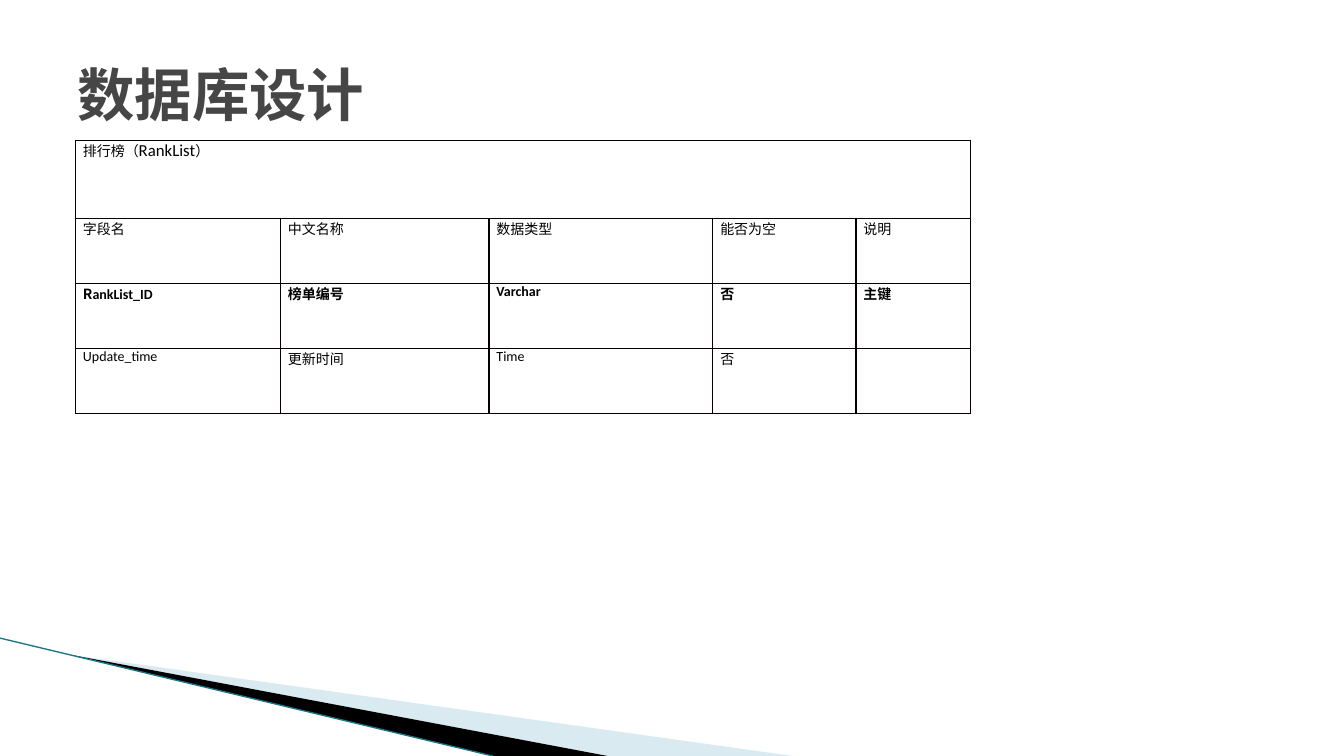
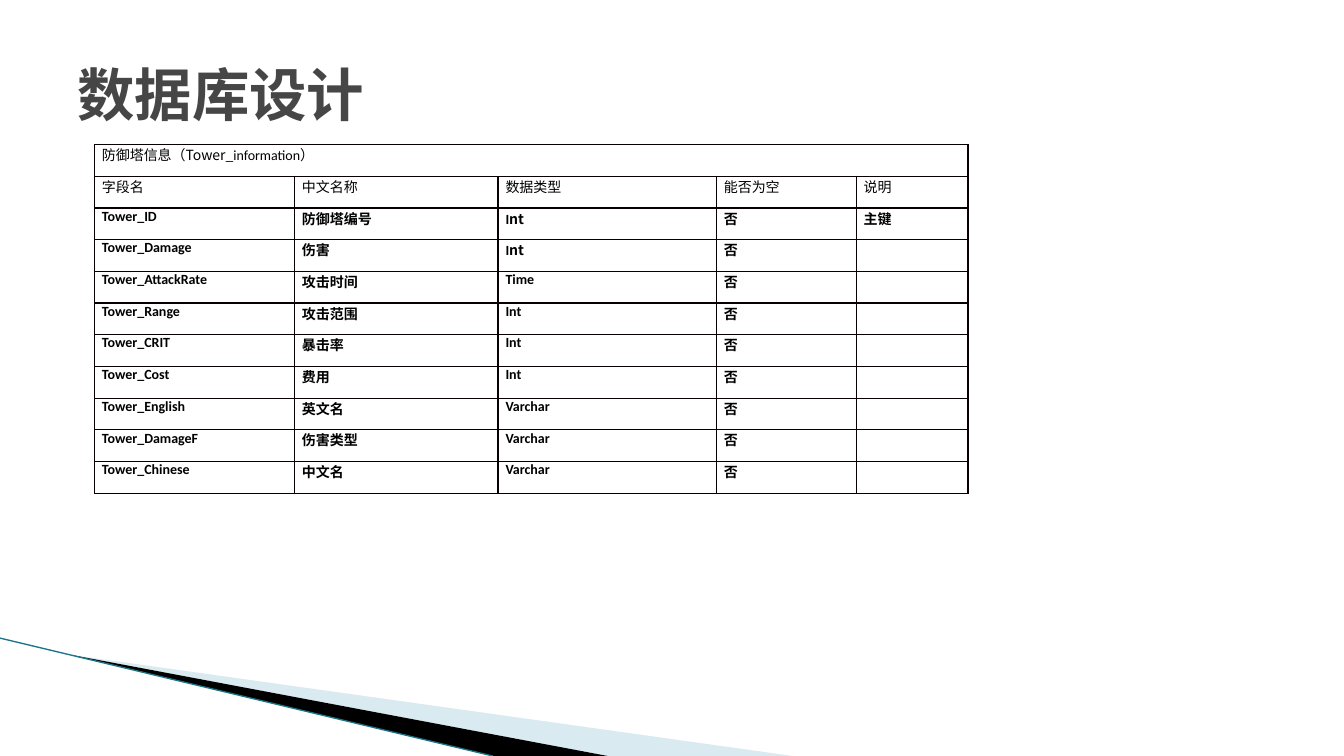
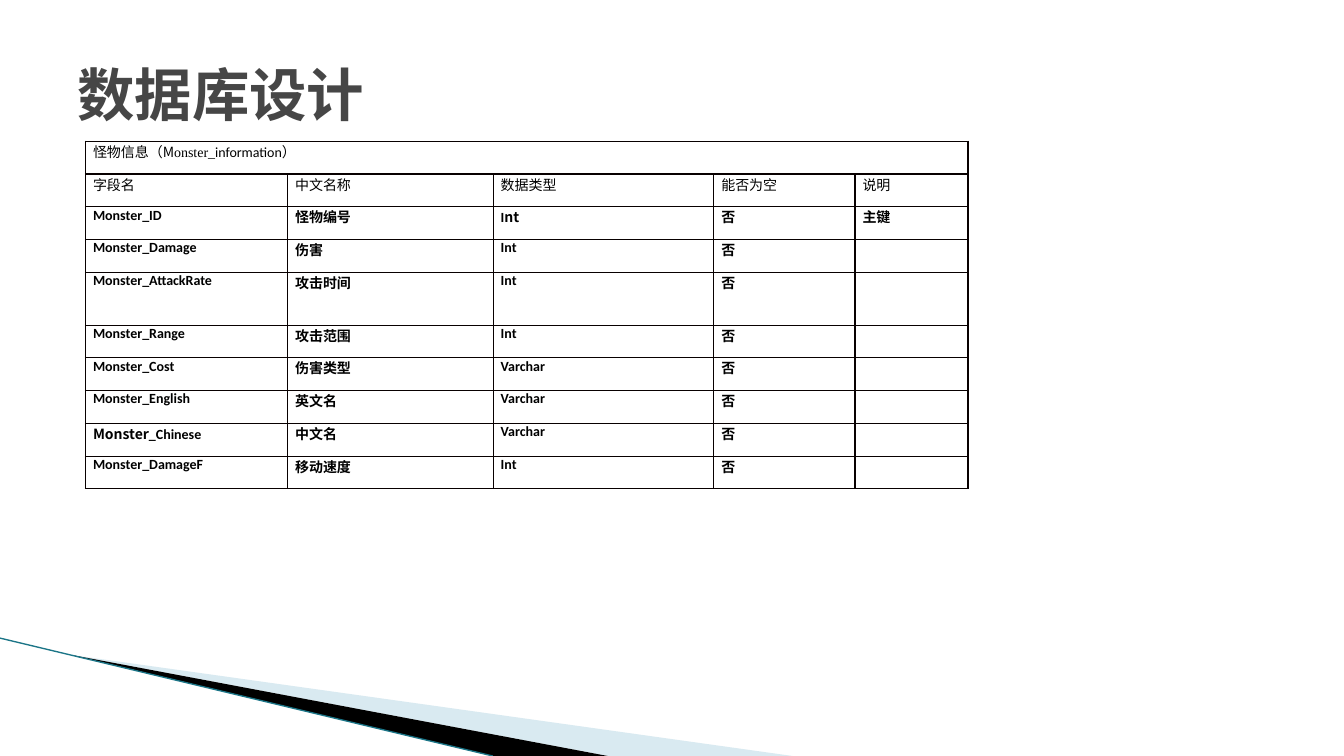
import dataclasses

import lxml.etree
import pptx
import pptx.dml.color
import pptx.enum.shapes
import pptx.enum.text
import pptx.oxml.ns
import pptx.util

Pt = pptx.util.Pt
qn = pptx.oxml.ns.qn


@dataclasses.dataclass(frozen=True)
class Theme:
    title_color: str = "464646"
    ink: str = "000000"
    paper: str = "FFFFFF"
    border: str = "080000"
    pale_wedge: str = "A0CBDC"
    dark_wedge: str = "000000"
    edge: str = "1B7587"
    title_font: str = "DejaVu Sans Mono"
    latin: str = "Calibri"
    cjk: str = "Noto Sans CJK SC"
    serif: str = "Times New Roman"
    title_size: float = 41
    cell_size: float = 10
    caption_size: float = 12


THEME = Theme()
SLIDE_BOX = (0, 0, 960, 540)
TITLE_BOX = (48.2, 21.6, 864, 90)
COLUMN_SHARES = (0.229, 0.233, 0.25, 0.16, 0.128)
HEADINGS = ("字段名", "中文名称", "数据类型", "能否为空", "说明")
SPLIT_INT = (("I", THEME.latin), ("nt", THEME.cjk))


def rgb(color):
    return pptx.dml.color.RGBColor.from_string(color)


def write_text(paragraph, text, font=None, size=THEME.cell_size, color=THEME.ink, bold=False):
    run = paragraph.add_run()
    run.text = text
    run.font.name = font or (THEME.latin if text.isascii() else THEME.cjk)
    run.font.size = Pt(size)
    run.font.bold = bold
    run.font.color.rgb = rgb(color)
    east_asian = lxml.etree.SubElement(run.font._element, qn("a:ea"))
    east_asian.set("typeface", run.font.name)


def add_wedge(slide, corners, color, opacity=100):
    outline = slide.shapes.build_freeform(*corners[0], scale=float(Pt(1)))
    outline.add_line_segments(corners[1:], close=True)
    wedge = outline.convert_to_shape()
    wedge.shadow.inherit = False
    wedge.line.fill.background()
    wedge.fill.solid()
    wedge.fill.fore_color.rgb = rgb(color)
    if opacity < 100:
        tint = wedge._element.spPr.find(".//" + qn("a:srgbClr"))
        lxml.etree.SubElement(tint, qn("a:alpha")).set("val", str(opacity * 1000))


def add_corner_sweep(slide, box):
    left, top, width, height = box
    bottom = top + height
    tip = (left + 52, bottom - 72)
    add_wedge(slide, [tip, (left + 566, bottom), (left + 434, bottom)], THEME.pale_wedge, 40)
    add_wedge(slide, [tip, (left + 434, bottom), (left + 352, bottom)], THEME.dark_wedge)
    edge = slide.shapes.add_connector(
        pptx.enum.shapes.MSO_CONNECTOR.STRAIGHT,
        Pt(left), Pt(bottom - 84.2), Pt(left + 352), Pt(bottom))
    edge.line.color.rgb = rgb(THEME.edge)
    edge.line.width = Pt(0.95)
    lxml.etree.SubElement(edge._element.spPr, qn("a:effectLst"))


def add_title(slide, box, text):
    title = slide.shapes.add_textbox(*map(Pt, box)).text_frame
    title.word_wrap = True
    title.vertical_anchor = pptx.enum.text.MSO_ANCHOR.MIDDLE
    write_text(title.paragraphs[0], text, font=THEME.title_font,
               size=THEME.title_size, color=THEME.title_color, bold=True)


def outline_cell(cell):
    properties = cell._tc.get_or_add_tcPr()
    for side in ("lnL", "lnR", "lnT", "lnB"):
        border = lxml.etree.SubElement(properties, qn("a:" + side))
        border.set("w", str(Pt(1)))
        fill = lxml.etree.SubElement(border, qn("a:solidFill"))
        lxml.etree.SubElement(fill, qn("a:srgbClr")).set("val", THEME.border)
    cell.fill.solid()
    cell.fill.fore_color.rgb = rgb(THEME.paper)


def fill_cell(cell, content, bold=False):
    pieces = [(content,)] if isinstance(content, str) else content
    for piece in pieces:
        if piece[0]:
            write_text(cell.text_frame.paragraphs[0], *piece, bold=bold)


def add_schema(slide, box, caption, fields, row_heights, plain_fields=()):
    rows = [(caption, "", "", "", ""), HEADINGS]
    rows += [(name, label, kind, "否", "主键" if index == 0 else "")
             for index, (name, label, kind) in enumerate(fields)]
    frame = slide.shapes.add_table(len(rows), len(HEADINGS), *map(Pt, box))
    schema = frame.table
    schema.first_row = False
    schema.horz_banding = False
    for column, share in zip(schema.columns, COLUMN_SHARES):
        column.width = Pt(round(box[2] * share, 2))
    for row, height in zip(schema.rows, row_heights):
        row.height = Pt(height)
    for r, contents in enumerate(rows):
        bold = r > 1 and contents[0] not in plain_fields
        for c, content in enumerate(contents):
            cell = schema.cell(r, c)
            cell.margin_left = cell.margin_right = Pt(5.4)
            cell.margin_top = cell.margin_bottom = 0
            outline_cell(cell)
            fill_cell(cell, content, bold)
    schema.cell(0, 0).merge(schema.cell(0, len(HEADINGS) - 1))


def add_schema_slide(deck, corner, width, caption, fields, row_heights, plain_fields=()):
    slide = deck.slides.add_slide(deck.slide_layouts[6])
    add_corner_sweep(slide, SLIDE_BOX)
    add_title(slide, TITLE_BOX, "数据库设计")
    add_schema(slide, (*corner, width, sum(row_heights)), caption, fields,
               row_heights, plain_fields)


def main():
    deck = pptx.Presentation()
    deck.slide_width, deck.slide_height = map(Pt, SLIDE_BOX[2:])

    add_schema_slide(
        deck, (53.9, 100.2), 639.4,
        (("排行榜（",), ("RankList", THEME.latin, THEME.caption_size), ("）",)),
        [((("R", THEME.cjk), ("ankList_ID",)), "榜单编号", "Varchar"),
         ("Update_time", "更新时间", "Time")],
        [55.8] + [46.4] * 3,
        plain_fields=("Update_time",))

    add_schema_slide(
        deck, (67.4, 103.2), 624,
        (("防御塔信息（Tower_",), ("information",), ("）",)),
        [("Tower_ID", "防御塔编号", SPLIT_INT),
         ("Tower_Damage", "伤害", SPLIT_INT),
         ("Tower_AttackRate", "攻击时间", "Time"),
         ("Tower_Range", "攻击范围", "Int"),
         ("Tower_CRIT", "暴击率", "Int"),
         ("Tower_Cost", "费用", "Int"),
         ("Tower_English", "英文名", "Varchar"),
         ("Tower_DamageF", "伤害类型", "Varchar"),
         ("Tower_Chinese", "中文名", "Varchar")],
        [22.66] * 11)

    add_schema_slide(
        deck, (61.1, 100.9), 630.4,
        (("怪物信息（M",), ("onster_", THEME.serif), ("information",), ("）",)),
        [("Monster_ID", "怪物编号", SPLIT_INT),
         ("Monster_Damage", "伤害", "Int"),
         ("Monster_AttackRate", "攻击时间", "Int"),
         ("Monster_Range", "攻击范围", "Int"),
         ("Monster_Cost", "伤害类型", "Varchar"),
         ("Monster_English", "英文名", "Varchar"),
         ((("Monster", THEME.cjk), ("_Chinese",)), "中文名", "Varchar"),
         ("Monster_DamageF", "移动速度", "Int")],
        [23.4] * 4 + [37.8] + [23.4] * 5)

    deck.save("out.pptx")


if __name__ == "__main__":
    main()
